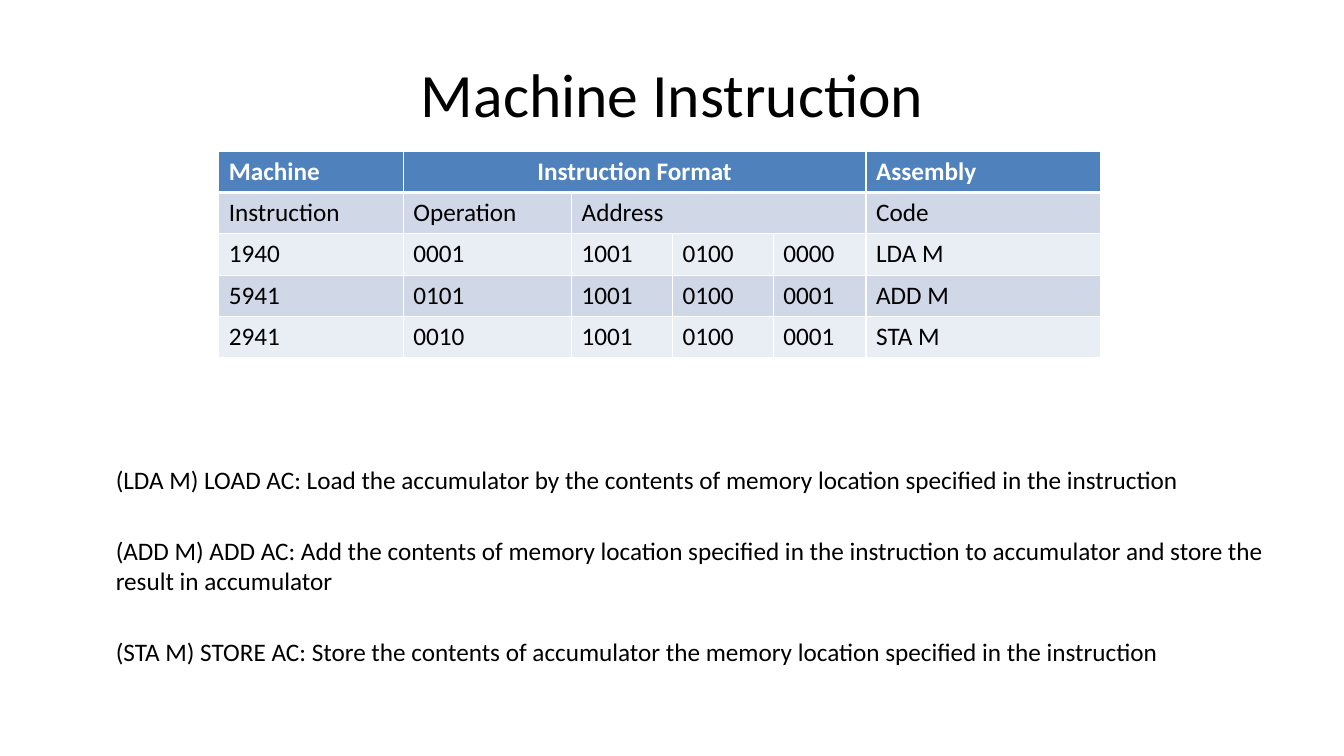
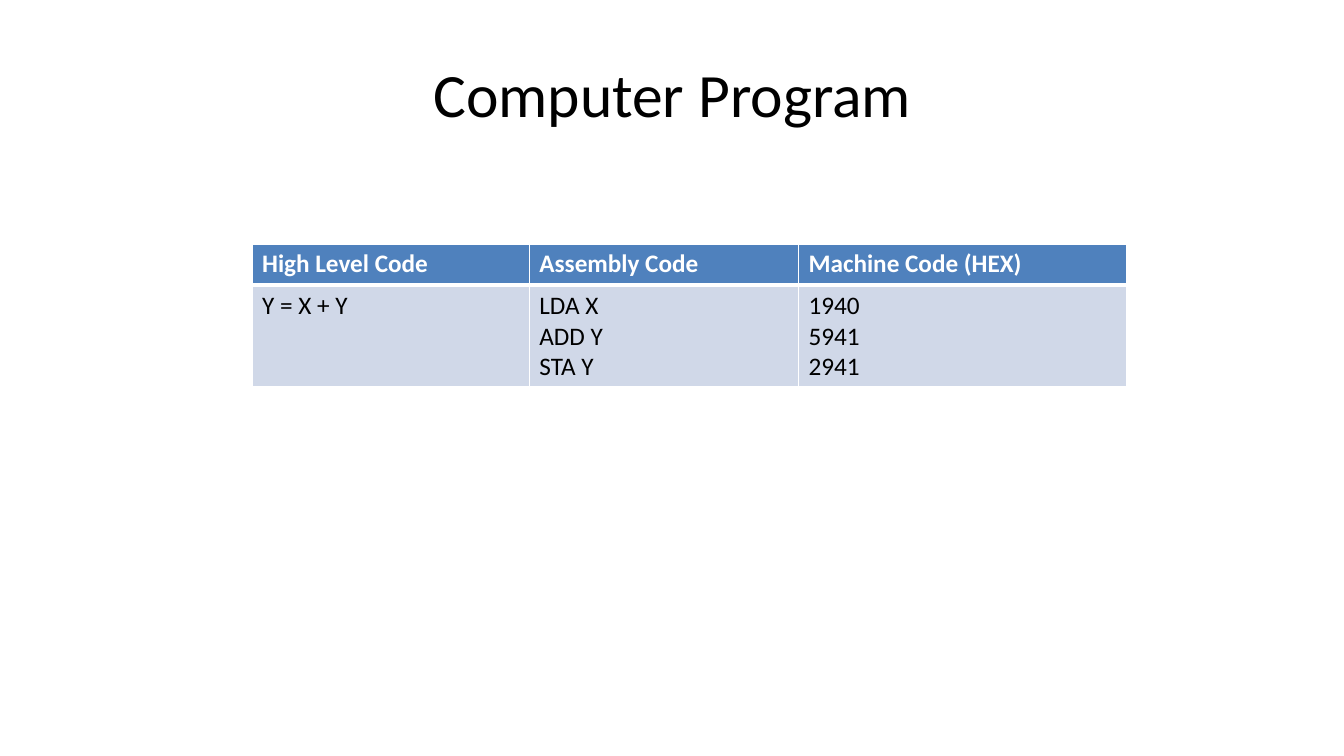
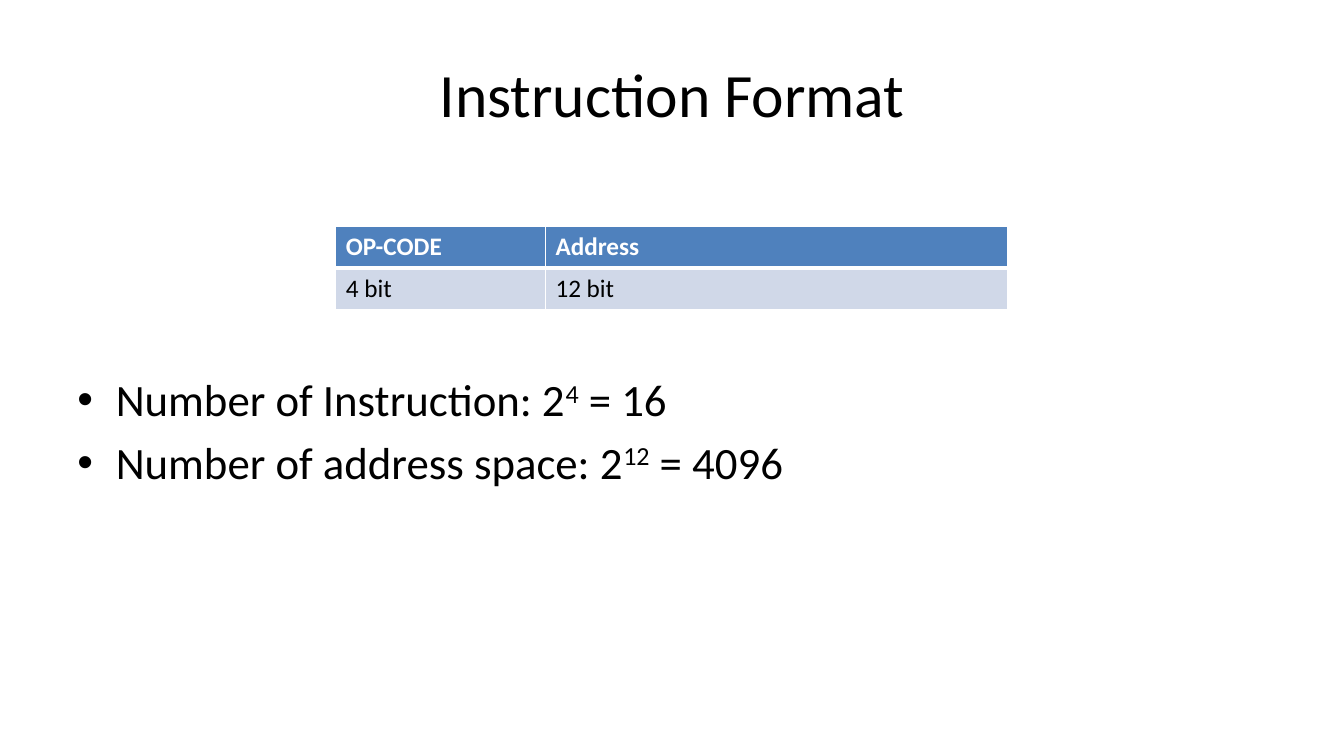
from dataclasses import dataclass

from lxml.etree import SubElement
from pptx import Presentation
from pptx.dml.color import RGBColor
from pptx.enum.text import MSO_ANCHOR, PP_ALIGN
from pptx.oxml.ns import qn
from pptx.util import Inches, Pt

FONT = "Calibri"
BLACK, WHITE = "000000", "FFFFFF"
HEAD, BANDS = "4F81BD", ("D0D8E8", "E9EDF4")
LEFT, WIDTH = 0.67, 12
INDENT = 0.38
ROW = 0.41


@dataclass
class Grid:
    """A table; None continues the cell to its left, lengths are in inches."""
    left: float
    top: float
    cols: list[float]
    rows: list[list[str | None]]
    tall: float = ROW


@dataclass
class Power:
    label: str
    exp: str
    value: str


CODES = Grid(2.17, 1.5, [1.83, 1.67, 1, 1, 0.92, 2.33], [
    ["Machine", "Instruction Format", None, None, None, "Assembly"],
    ["Instruction", "Operation", "Address", None, None, "Code"],
    ["1940", "0001", "1001", "0100", "0000", "LDA M"],
    ["5941", "0101", "1001", "0100", "0001", "ADD M"],
    ["2941", "0010", "1001", "0100", "0001", "STA M"],
])
PROGRAM = Grid(2.5, 2.42, [2.75, 2.67, 3.25], [
    ["High Level Code", "Assembly Code", "Machine Code (HEX)"],
    ["Y = X + Y", "LDA X\nADD Y\nSTA Y", "1940\n5941\n2941"],
], tall=1)
FORMAT = Grid(3.33, 2.25, [2.08, 4.58], [
    ["OP-CODE", "Address"],
    ["4 bit", "12 bit"],
])
NOTES = [
    "(LDA M) LOAD AC: Load the accumulator by the contents of memory location "
    "specified in the instruction",
    "(ADD M) ADD AC: Add the contents of memory location specified in the "
    "instruction to accumulator and store the result in accumulator",
    "(STA M) STORE AC: Store the contents of accumulator the memory location "
    "specified in the instruction",
]
POWERS = [
    Power("Number of Instruction: 2", "4", " = 16"),
    Power("Number of address space: 2", "12", " = 4096"),
]


def color(code: str) -> RGBColor:
    return RGBColor.from_string(code)


def style(para, size: float, code: str = BLACK, bold: bool = False) -> None:
    font = para.font
    font.name, font.size, font.bold = FONT, Pt(size), bold
    font.color.rgb = color(code)


def add_box(slide, left: float, top: float, width: float, height: float):
    box = slide.shapes.add_textbox(
        Inches(left), Inches(top), Inches(width), Inches(height))
    box.text_frame.word_wrap = True
    return box.text_frame


def add_page(deck, title: str):
    slide = deck.slides.add_slide(deck.slide_layouts[6])
    frame = add_box(slide, LEFT, 0.3, WIDTH, 1.25)
    frame.vertical_anchor = MSO_ANCHOR.MIDDLE
    frame.text = title
    para = frame.paragraphs[0]
    para.alignment = PP_ALIGN.CENTER
    style(para, 44)
    return slide


def edge(cell, side: str, width: float) -> None:
    props = cell._tc.get_or_add_tcPr()
    line = SubElement(props, qn(f"a:ln{side}"), w=str(Pt(width)))
    fill = SubElement(line, qn("a:solidFill"))
    SubElement(fill, qn("a:srgbClr"), val=WHITE)


def paint(cell, row: int) -> None:
    """Give a cell its borders and fill, with a thick rule under the header."""
    thick = {0: "B", 1: "T"}.get(row)
    for side in "LRTB":
        edge(cell, side, 3 if side == thick else 1)
    cell.fill.solid()
    cell.fill.fore_color.rgb = color(BANDS[(row - 1) % 2] if row else HEAD)


def add_grid(slide, grid: Grid) -> None:
    count = len(grid.rows)
    high = ROW + grid.tall * (count - 1)
    table = slide.shapes.add_table(
        count, len(grid.cols), Inches(grid.left), Inches(grid.top),
        Inches(sum(grid.cols)), Inches(high)).table
    for col, width in zip(table.columns, grid.cols):
        col.width = Inches(width)
    for r, texts in enumerate(grid.rows):
        table.rows[r].height = Inches(grid.tall if r else ROW)
        start = 0
        for c, text in enumerate(texts):
            cell = table.cell(r, c)
            paint(cell, r)
            if text is None:
                if c + 1 == len(texts) or texts[c + 1] is not None:
                    table.cell(r, start).merge(cell)
                continue
            start = c
            cell.text = text
            wide = c + 1 < len(texts) and texts[c + 1] is None
            for para in cell.text_frame.paragraphs:
                style(para, 18, BLACK if r else WHITE, bold=r == 0)
                if wide and r == 0:
                    para.alignment = PP_ALIGN.CENTER


def add_notes(slide, notes: list[str]) -> None:
    frame = add_box(slide, LEFT + INDENT, 4.56, WIDTH - INDENT, 2.14)
    frame.text = "\n".join(notes)
    for para in frame.paragraphs:
        style(para, 18)
        para.space_after = Pt(29)


def add_bullet(para) -> None:
    props = para._p.get_or_add_pPr()
    props.set("marL", str(Inches(INDENT)))
    props.set("indent", str(-Inches(INDENT)))
    font = props.find(qn("a:defRPr"))
    face = SubElement(props, qn("a:buFont"), typeface="Arial")
    mark = SubElement(props, qn("a:buChar"), char="•")
    font.addprevious(face)
    font.addprevious(mark)


def add_powers(slide, powers: list[Power]) -> None:
    frame = add_box(slide, LEFT, 3.64, WIDTH, 3.06)
    for i, power in enumerate(powers):
        para = frame.add_paragraph() if i else frame.paragraphs[0]
        para.space_after = Pt(6.4)
        style(para, 32)
        add_bullet(para)
        for text in (power.label, power.exp, power.value):
            run = para.add_run()
            run.text = text
            if text == power.exp:
                run._r.get_or_add_rPr().set("baseline", "30000")


def main() -> None:
    deck = Presentation()
    deck.slide_width, deck.slide_height = Inches(13.33), Inches(7.5)

    slide = add_page(deck, "Machine Instruction")
    add_notes(slide, NOTES)
    add_grid(slide, CODES)

    slide = add_page(deck, "Computer Program")
    add_grid(slide, PROGRAM)

    slide = add_page(deck, "Instruction Format")
    add_powers(slide, POWERS)
    add_grid(slide, FORMAT)

    deck.save("out.pptx")


if __name__ == "__main__":
    main()
